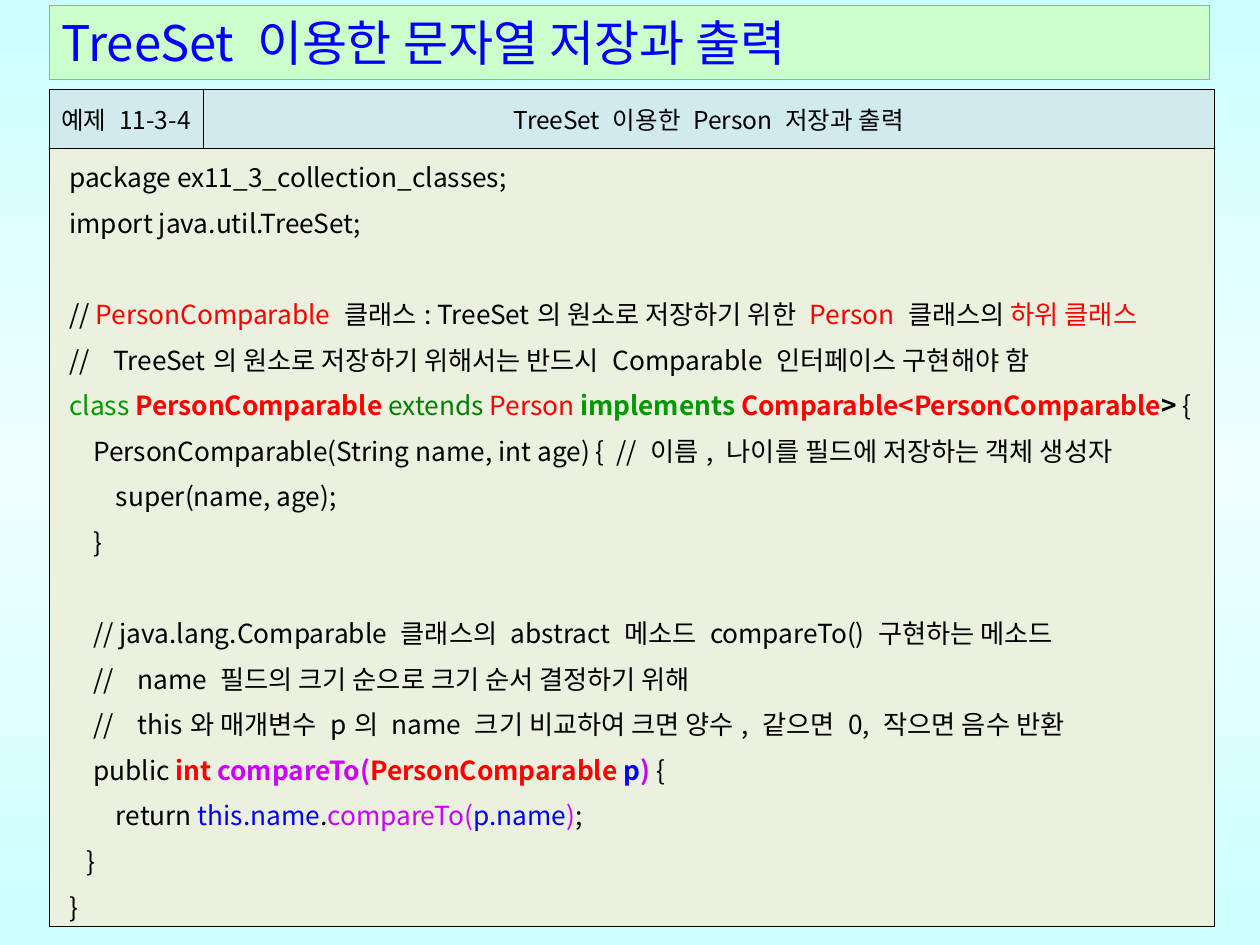
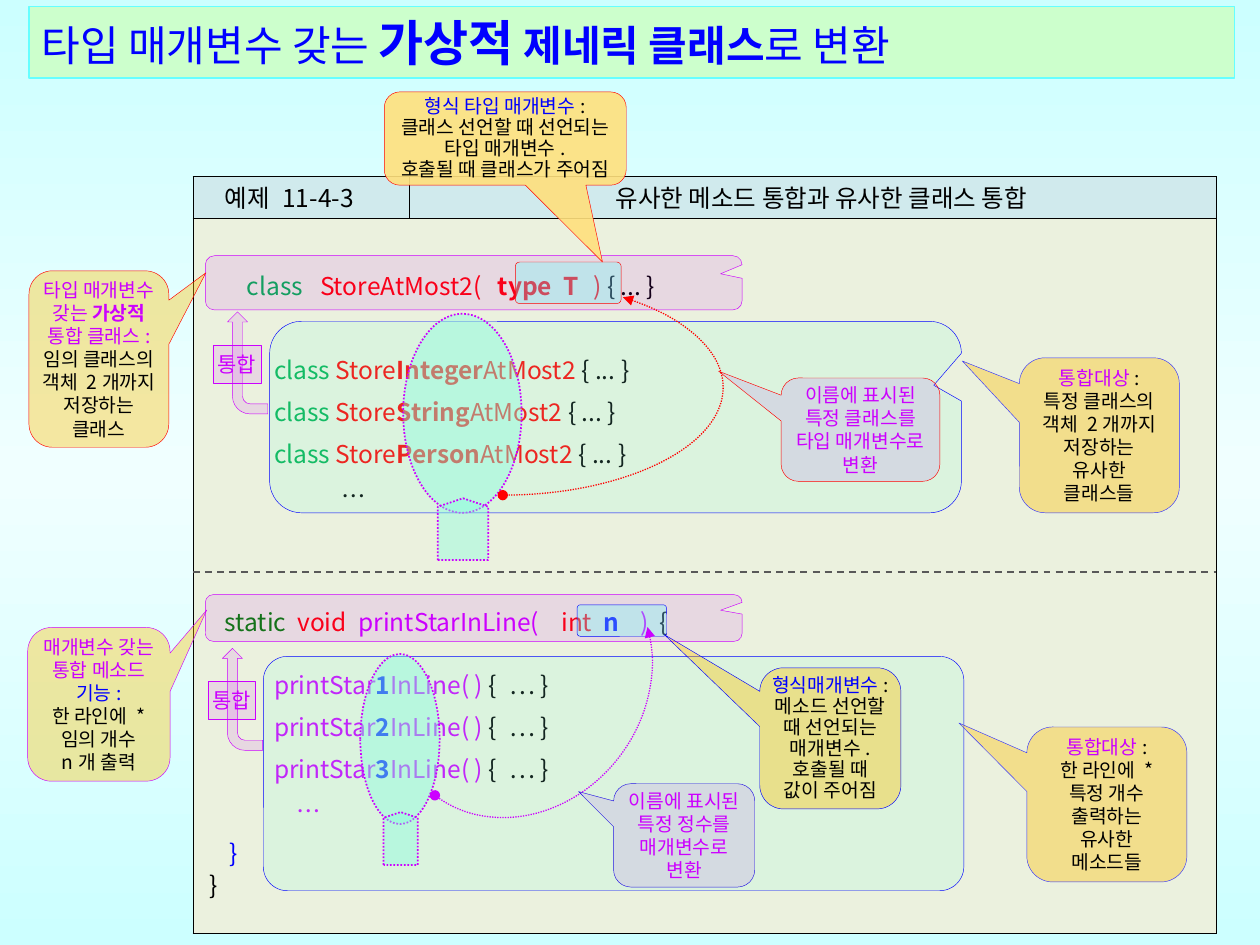
from copy import deepcopy
from lxml.etree import SubElement
from pptx import Presentation
from pptx.dml.color import RGBColor
from pptx.enum.dml import MSO_LINE
from pptx.enum.shapes import MSO_CONNECTOR, MSO_SHAPE
from pptx.enum.text import MSO_ANCHOR, MSO_AUTO_SIZE, PP_ALIGN
from pptx.oxml.ns import qn
from pptx.util import Inches, Pt

FONT = "Noto Sans CJK KR"
BLACK = RGBColor(0x00, 0x00, 0x00)
BLUE = RGBColor(0x00, 0x00, 0xFF)
RED = RGBColor(0xFF, 0x00, 0x00)
PURPLE = RGBColor(0xCC, 0x00, 0xFF)
VIOLET = RGBColor(0x99, 0x00, 0xFF)
INDIGO = RGBColor(0x33, 0x33, 0xFF)
ROYAL = RGBColor(0x22, 0x13, 0xE3)
GREEN = RGBColor(0x00, 0x99, 0x00)
DARK_GREEN = RGBColor(0x00, 0x80, 0x00)
LEAF = RGBColor(0x00, 0xB0, 0x50)
MINT = RGBColor(0x85, 0xFF, 0xE0)
AQUA = RGBColor(0x66, 0xFF, 0xFF)
TURQUOISE = RGBColor(0x03, 0xED, 0xE2)
AMBER = RGBColor(0xFF, 0xC0, 0x00)
HONEY = RGBColor(0xFF, 0xE0, 0x7D)
GREY = RGBColor(0x59, 0x59, 0x59)
TITLE_BAND = RGBColor(0xCC, 0xFF, 0xCC)
HEADER_FILL = RGBColor(0xD0, 0xEA, 0xED)
CODE_FILL = RGBColor(0xEB, 0xF1, 0xDE)
SKY = RGBColor(0xCC, 0xFF, 0xFF)
SKY_LIGHT = RGBColor(0xF0, 0xFF, 0xFF)

prs = Presentation()
prs.slide_width, prs.slide_height = Inches(10), Inches(7.5)
UNIT = prs.slide_width // 100  # grid of 100 columns by 75 rows


def write(paragraph, runs, size):
    """Add runs: plain text, or (text, colour, bold, size)."""
    for item in runs:
        text, colour, bold, own_size = (
            (item,) if isinstance(item, str) else item) + (BLACK, False, size)[
            (0 if isinstance(item, str) else len(item) - 1):]
        run = paragraph.add_run()
        run.text = text
        look = {"name": FONT, "size": Pt(own_size), "bold": bold}
        for name, value in look.items():
            setattr(run.font, name, value)
        run.font.color.rgb = colour
        SubElement(run._r.rPr, qn("a:ea"), typeface=FONT)


def draw(kind, box, fill, opacity, edge, adjust=(), turn=0):
    """Add a translucent outlined shape, measured in grid units."""
    shape = slide.shapes.add_shape(kind, *(round(v * UNIT) for v in box))
    shape.shadow.inherit = False
    shape.rotation = turn
    for i, value in enumerate(adjust):
        shape.adjustments[i] = value
    if fill is None:
        shape.fill.background()
    else:
        shape.fill.solid()
        shape.fill.fore_color.rgb = fill
        colour = shape._element.spPr.find(qn("a:solidFill"))[0]
        SubElement(colour, qn("a:alpha"), val=str(opacity * 1000))
    shape.line.color.rgb = edge
    shape.line.width = Pt(0.25)
    return shape


# Shared background on the master
master = prs.slide_master
backdrop = master.background.fill
backdrop.gradient()
backdrop.gradient_angle = 90
stops = master.element.find(".//" + qn("a:gsLst"))
stops.insert(1, deepcopy(stops[0]))
stops[1].set("pos", "50000")
for stop, colour in zip(backdrop.gradient_stops, (SKY, SKY_LIGHT, SKY)):
    stop.color.rgb = colour

# Code listings: (tab stops in grid units, points before, runs)
INDENT, DEEP = 1.9, 3.7
person_code = [
    ((), 0, ["package ex11_3_collection_classes;"]),
    ((), 0, ["import java.util.TreeSet;"]),
    ((), 26, ["// ", ("PersonComparable ", RED), "클래스: TreeSet의 원소로 저장하기 위한 ",
              ("Person ", RED), "클래스의 ", ("하위 클래스", RED)]),
    ((3.5,), 0, ["//\tTreeSet의 원소로 저장하기 위해서는 반드시 Comparable 인터페이스 구현해야 함"]),
    ((), 0, [("class ", GREEN), ("PersonComparable ", RED, True), ("extends ", DARK_GREEN),
             ("Person ", RED), ("implements ", GREEN, True),
             ("Comparable<PersonComparable", RED, True), ("> ", BLACK, True), "{"]),
    ((INDENT, 43.4), 0,
     ["\tPersonComparable(String name, int age) {\t// 이름, 나이를 필드에 저장하는 객체 생성자"]),
    ((DEEP,), 0, ["\tsuper(name, age);"]),
    ((INDENT,), 0, ["\t}"]),
    ((INDENT,), 26, ["\t// java.lang.Comparable 클래스의 abstract 메소드 compareTo() 구현하는 메소드"]),
    ((INDENT, 5.4), 0, ["\t//\tname 필드의 크기 순으로 크기 순서 결정하기 위해"]),
    ((INDENT, 5.4), 0, ["\t//\tthis와 매개변수 p의 name 크기 비교하여 크면 양수, 같으면 0, 작으면 음수 반환"]),
    ((INDENT,), 0, ["\tpublic ", ("int ", RED, True), ("compareTo(", PURPLE, True),
                    ("PersonComparable ", RED, True), ("p", BLUE, True),
                    (") ", PURPLE, True), "{"]),
    ((DEEP,), 0, ["\treturn ", ("this.name", BLUE), ".", ("compareTo(", PURPLE),
                  ("p.name", BLUE), (")", PURPLE), ";"]),
    ((1.4,), 0, ["\t}"]),
    ((), 0, ["}"]),
]
MEMBER = 5.15
generic_code = [
    ((3, 8.8, 22.9, 28.1, 30.5), 0,
     [("\tclass", LEAF), ("\tStoreAtMost2(", RED), ("\ttype\tT", RED, True),
      ("\t)", RED), " { ... }"])]
for i, kind in enumerate(("Integer", "String", "Person")):
    generic_code.append(((MEMBER,), 0 if i else 24, [
        ("\tclass ", LEAF), ("Store", RED), (kind, RED, True), ("AtMost2", RED), " { ... }"]))
generic_code += [
    ((10.5,), 0, ["\t…"]),
    ((1.25, 7, 11.85, 27.95, 31.3, 34.25, 35.75), 48,
     [("\tstatic", DARK_GREEN), ("\tvoid", RED), ("\tprintStarInLine(", PURPLE),
      ("\tint", RED), ("\tn", BLUE, True), ("\t)", PURPLE), "\t{"])]
for count in "123":
    generic_code.append(((MEMBER, 23.8), 12 if count == "1" else 0, [
        ("\tprintStar", PURPLE), (count, BLUE, True), ("InLine( ) ", PURPLE), "{\t… }"]))
generic_code += [((6.95,), 0, [("\t…", PURPLE)]),
                 ((1.65,), 0, [("\t}", BLUE)]),
                 ((), 0, ["}"])]

# Both slides: title band and example table
pages = [
    {"title": [("TreeSet 이용한 문자열 저장과 출력", BLUE)], "title_size": 28,
     "band": (3.9, 0.4, 92.1, 5.9), "edge": TURQUOISE, "edge_width": 0.25,
     "table": (3.9, 7.1), "columns": (12.2, 80.3), "rows": (4.7, 53.2),
     "headers": [("예제 11-3-4", 0.4, 0.4), ("TreeSet 이용한 Person 저장과 출력", 0.4, 0.4)],
     "code": person_code, "size": 15, "spacing": 1.2, "inset": (1.6, 0.1)},
    {"title": [("타입 매개변수 갖는 ", BLUE), ("가상적", BLUE, True, 28),
               (" 제네릭 클래스", BLUE, True), ("로 변환", BLUE)], "title_size": 24,
     "band": (2.3, 0.5, 95.7, 5.7), "edge": AQUA, "edge_width": 0.75,
     "table": (15.3, 14), "columns": (17.2, 64), "rows": (3.3, 56.8),
     "headers": [("예제 11-4-3", 0.3, 2.2), ("유사한 메소드 통합과 유사한 클래스 통합", 1.7, 0.3)],
     "code": generic_code, "size": 14, "spacing": Pt(24), "inset": (1.3, 3.4)},
]
for page in pages:
    slide = prs.slides.add_slide(prs.slide_layouts[5])
    title = slide.shapes.title
    for name, value in zip(("left", "top", "width", "height"), page["band"]):
        setattr(title, name, round(value * UNIT))
    title.fill.solid()
    title.fill.fore_color.rgb = TITLE_BAND
    title.line.color.rgb = page["edge"]
    title.line.width = Pt(page["edge_width"])
    frame_format = {"vertical_anchor": MSO_ANCHOR.MIDDLE, "auto_size": MSO_AUTO_SIZE.NONE,
                    "word_wrap": True}
    for name, value in frame_format.items():
        setattr(title.text_frame, name, value)
    heading = title.text_frame.paragraphs[0]
    heading.alignment = PP_ALIGN.LEFT
    write(heading, page["title"], page["title_size"])

    # Example table: header row above one merged code cell
    corner_and_size = (*page["table"], sum(page["columns"]), sum(page["rows"]))
    example = slide.shapes.add_table(2, 2, *(round(v * UNIT) for v in corner_and_size)).table
    example.first_row = example.horz_banding = False
    for column, width in zip(example.columns, page["columns"]):
        column.width = round(width * UNIT)
    for row, height in zip(example.rows, page["rows"]):
        row.height = round(height * UNIT)
    code_cell = example.cell(1, 0)
    code_cell.merge(example.cell(1, 1))
    for position, cell in enumerate(example.iter_cells()):
        cell.fill.solid()
        cell.fill.fore_color.rgb = HEADER_FILL if position < 2 else CODE_FILL
        for i, side in enumerate(("a:lnL", "a:lnR", "a:lnT", "a:lnB")):
            border = SubElement(cell._tc.tcPr, qn(side), w=str(Pt(0.28)))
            SubElement(SubElement(border, qn("a:solidFill")), qn("a:srgbClr"), val=str(BLACK))
            cell._tc.tcPr.insert(i, border)
    for i, (text, left, right) in enumerate(page["headers"]):
        cell = example.cell(0, i)
        cell_format = {"margin_left": round(left * UNIT), "margin_right": round(right * UNIT),
                       "margin_top": 0, "margin_bottom": 0,
                       "vertical_anchor": MSO_ANCHOR.MIDDLE}
        for name, value in cell_format.items():
            setattr(cell, name, value)
        cell.text_frame.paragraphs[0].alignment = PP_ALIGN.CENTER
        write(cell.text_frame.paragraphs[0], [text], 14)
    left, top = page["inset"]
    code_format = {"margin_left": round(left * UNIT), "margin_right": round(0.3 * UNIT),
                   "margin_top": round(top * UNIT), "margin_bottom": round(0.1 * UNIT),
                   "vertical_anchor": MSO_ANCHOR.TOP}
    for name, value in code_format.items():
        setattr(code_cell, name, value)
    for i, (tabs, before, runs) in enumerate(page["code"]):
        frame = code_cell.text_frame
        line = frame.add_paragraph() if i else frame.paragraphs[0]
        line.line_spacing = page["spacing"]
        line.space_before = Pt(before)
        if tabs:
            tab_list = SubElement(line._p.get_or_add_pPr(), qn("a:tabLst"))
            for tab in tabs:
                SubElement(tab_list, qn("a:tab"), pos=str(round(tab * UNIT)), algn="l")
        write(line, runs, page["size"])
line.line_spacing = Pt(18)  # closing brace of the last listing

# Slide 2: group panels, banners, parameter marks and merge arrows
CALLOUT, ROUND = MSO_SHAPE.ROUNDED_RECTANGULAR_CALLOUT, MSO_SHAPE.ROUNDED_RECTANGLE
NOTCH = (0.46, -0.166, 0.167)
draw(ROUND, (20.9, 52.1, 55.6, 18.6), MINT, 15, BLUE, (0.103,))
draw(CALLOUT, (21.4, 25.5, 54.9, 15.2), MINT, 15, BLUE, NOTCH)
for top, height in ((20.3, 4.3), (47.2, 3.7)):
    draw(CALLOUT, (16.3, top, 42.6, height), PURPLE, 10, PURPLE, NOTCH)
for left, top in ((15.6, 27.2), (15.2, 53.9)):
    draw(MSO_SHAPE.BENT_ARROW, (left, top, 8.1, 3.2), PURPLE, 10, PURPLE, turn=270)
draw(ROUND, (40.9, 20.8, 8.4, 3.3), AQUA, 30, RED, (0.103,))
draw(ROUND, (45.8, 48, 7.1, 2.5), AQUA, 30, BLUE, (0.103,))

# Dotted lenses, each an oval with a handle
for oval, handle in (((32, 24.9, 9.4, 15.8), (34.3, 40, 4.9, 4)),
                     ((28.6, 51.9, 6.3, 13.5), (29.7, 65.2, 4.2, 2.7))):
    for lens in (draw(MSO_SHAPE.OVAL, oval, MINT, 40, PURPLE),
                 draw(MSO_SHAPE.PENTAGON, handle, MINT, 40, PURPLE, (0.167,), 270)):
        lens.line.width = Pt(1)
        lens.line.dash_style = MSO_LINE.ROUND_DOT

# Dotted arcs from the varying name part to the parameter
for box, colour, angles, turn in (((31.5, 42.7, 19.7, 22.7), PURPLE, (119.85, 270), 217),
                                  ((22.3, 22.2, 35.1, 17.1), RED, (323.23, 89.62), 0)):
    arc = draw(MSO_SHAPE.ARC, box, None, 0, colour, [angle * 0.6 for angle in angles], turn)
    arc.line.width = Pt(0.75)
    arc.line.dash_style = MSO_LINE.ROUND_DOT
    outline = arc._element.spPr.find(qn("a:ln"))
    SubElement(outline, qn("a:headEnd"), type="triangle")
    SubElement(outline, qn("a:tailEnd"), type="oval")

# Notes: box, fill, opacity, edge, pointer, line spacing, paragraphs
target = [("통합대상", PURPLE), ":"]
notes = [
    ((2.2, 49.8, 11.3, 12.2), AMBER, 37, PURPLE, (0.758, -0.614), None,
     [[("매개변수 갖는", PURPLE)], [("통합 메소드", PURPLE)], [("기능:", BLUE)],
      ["한 라인에 *"], ["임의 개수"], ["n개 출력"]]),
    ((81.5, 57.7, 12.7, 12.3), AMBER, 37, INDIGO, (-0.925, -0.526), None,
     [target, ["한 라인에 *"], ["특정 개수"], ["출력하는"], ["유사한"], ["메소드들"]]),
    ((2.3, 21.5, 11.1, 14), AMBER, 37, RED, (0.765, -0.489), None,
     [[("타입 매개변수 갖는 ", PURPLE), ("가상적", PURPLE, True)], [("통합 클래스:", PURPLE)],
      ["임의 클래스의"], ["객체 2개까지"], ["저장하는"], ["클래스"]]),
    ((60.3, 53, 11.2, 11.2), AMBER, 37, BLUE, (-1.176, -0.735), Pt(12),
     [[("형식매개변수", BLUE), ":"], ["메소드 선언할 때 선언되는"], ["매개변수."],
      ["호출될 때"], ["값이 주어짐"]]),
    ((80.9, 28.4, 12.7, 12.3), AMBER, 37, INDIGO, (-0.856, -0.479), None,
     [target, ["특정 클래스의"], ["객체 2개까지"], ["저장하는"], ["유사한"], ["클래스들"]]),
    ((62, 30, 12.6, 8.2), VIOLET, 10, RED, (-0.894, -0.566), None,
     [[(text, PURPLE)] for text in ("이름에 표시된", "특정 클래스를", "타입 매개변수로", "변환")]),
    ((48.7, 62.2, 11.2, 8.2), VIOLET, 10, ROYAL, (-0.749, -0.424), None,
     [[(text, PURPLE)] for text in ("이름에 표시된", "특정 정수를", "매개변수로", "변환")]),
    ((30.5, 7.3, 19.2, 7.4), HONEY, 90, RED, (0.402, 1.324), Pt(12),
     [[("형식 타입 매개변수", BLUE), ":"], ["클래스 선언할 때 선언되는"], ["타입 매개변수."],
      ["호출될 때 클래스가 주어짐"]]),
]
for left, top in ((16.9, 27.4), (16.5, 54.1)):
    notes.append(((left, top, 3.8, 3), PURPLE, 10, PURPLE, None, None,
                  [[("통합", PURPLE, False, 12)]]))
for box, fill, opacity, edge, pointer, spacing, paragraphs in notes:
    if pointer:
        note = draw(CALLOUT, box, fill, opacity, edge, (*pointer, 0.167))
    else:
        note = draw(MSO_SHAPE.RECTANGLE, box, fill, opacity, edge)
    note_format = {"margin_left": 0, "margin_right": 0, "margin_top": 0, "margin_bottom": 0,
                   **frame_format}
    for name, value in note_format.items():
        setattr(note.text_frame, name, value)
    for i, runs in enumerate(paragraphs):
        line = note.text_frame.add_paragraph() if i else note.text_frame.paragraphs[0]
        line.alignment = PP_ALIGN.CENTER
        line.line_spacing = spacing
        write(line, runs, 11)

# Dashed divider between the class and the method example
divider = slide.shapes.add_connector(
    MSO_CONNECTOR.STRAIGHT, *(round(v * UNIT) for v in (15.3, 45.4, 96.5, 45.4)))
divider.line.color.rgb = GREY
divider.line.width = Pt(1)
divider.line.dash_style = MSO_LINE.DASH
SubElement(divider._element.spPr, qn("a:effectLst"))

prs.save("out.pptx")
